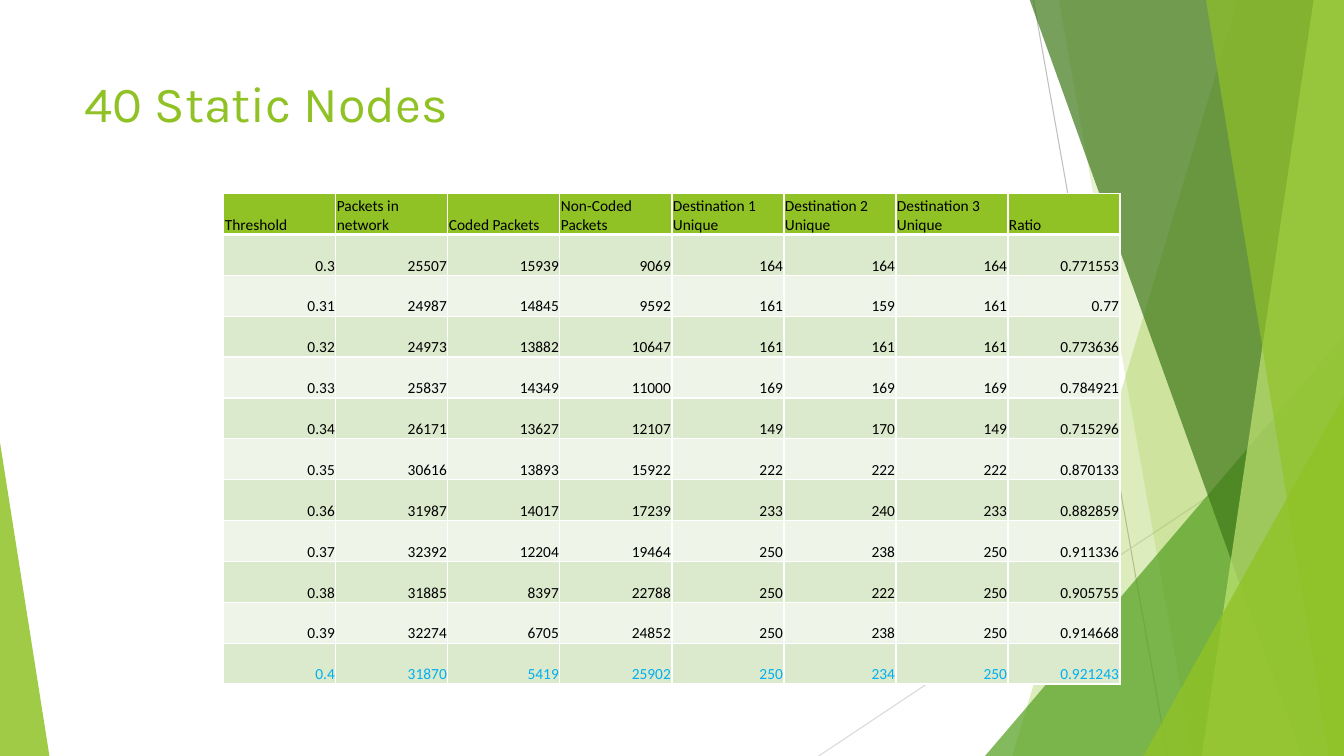
from typing import NamedTuple

from lxml.etree import SubElement
from pptx import Presentation
from pptx.dml.color import RGBColor
from pptx.enum.shapes import MSO_CONNECTOR, MSO_SHAPE
from pptx.enum.text import MSO_ANCHOR, PP_ALIGN
from pptx.oxml.ns import qn
from pptx.shapes.autoshape import Shape
from pptx.slide import Slide
from pptx.table import _Cell
from pptx.text.text import _Paragraph
from pptx.util import Inches, Pt

WIDTH, HEIGHT = 13.33, 7.5
BLEED_TOP = -0.01

COLORS = {
    "lime": "90C226",
    "pale_lime": "C0E474",
    "green": "54A021",
    "forest": "3F7819",
    "grey": "BFBFBF",
    "light_grey": "D9D9D9",
    "white": "FFFFFF",
    "black": "000000",
    "highlight": "00B0F0",
    "band_dark": "DBE9CD",
    "band_light": "EEF4E8",
}


class Ray(NamedTuple):
    start: tuple[float, float]
    end: tuple[float, float]
    color: str


class Panel(NamedTuple):
    top_x: float
    bottom_x: float
    color: str
    opacity: int


class Wedge(NamedTuple):
    left: float
    top: float
    width: float
    apex: float
    color: str
    opacity: int


RAYS = [
    Ray((10.25, 0), (11.58, HEIGHT), "grey"),
    Ray((WIDTH, 4.03), (8.12, HEIGHT), "light_grey"),
]
DECORATIONS = [
    Panel(12.28, 10.04, "lime", 30),
    Panel(10.5, 11.83, "lime", 20),
    Wedge(9.77, 3.33, 3.56, 1, "green", 72),
    Panel(10.21, 12.91, "forest", 70),
    Panel(13.03, 11.92, "pale_lime", 70),
    Panel(11.96, 13.18, "lime", 65),
    Wedge(11.34, 3.93, 1.99, 1, "lime", 80),
    Wedge(0, 4.39, 0.49, 0, "lime", 85),
]

HEADERS = [
    "Threshold", "Packets in network", "Coded Packets", "Non-Coded Packets",
    "Destination 1 Unique", "Destination 2 Unique", "Destination 3 Unique", "Ratio",
]
RESULTS = [
    ("0.3", "25507", "15939", "9069", "164", "164", "164", "0.771553"),
    ("0.31", "24987", "14845", "9592", "161", "159", "161", "0.77"),
    ("0.32", "24973", "13882", "10647", "161", "161", "161", "0.773636"),
    ("0.33", "25837", "14349", "11000", "169", "169", "169", "0.784921"),
    ("0.34", "26171", "13627", "12107", "149", "170", "149", "0.715296"),
    ("0.35", "30616", "13893", "15922", "222", "222", "222", "0.870133"),
    ("0.36", "31987", "14017", "17239", "233", "240", "233", "0.882859"),
    ("0.37", "32392", "12204", "19464", "250", "238", "250", "0.911336"),
    ("0.38", "31885", "8397", "22788", "250", "222", "250", "0.905755"),
    ("0.39", "32274", "6705", "24852", "250", "238", "250", "0.914668"),
    ("0.4", "31870", "5419", "25902", "250", "234", "250", "0.921243"),
]


def rgb(name: str) -> RGBColor:
    return RGBColor.from_string(COLORS[name])


def add_run(paragraph: _Paragraph, text: str, font: str, size: int, color: str) -> None:
    run = paragraph.add_run()
    run.text = text
    run.font.name = font
    run.font.size = Pt(size)
    run.font.bold = False
    run.font.color.rgb = rgb(color)


def add_ray(slide: Slide, ray: Ray) -> None:
    connector = slide.shapes.add_connector(
        MSO_CONNECTOR.STRAIGHT, *map(Inches, ray.start + ray.end))
    connector.line.color.rgb = rgb(ray.color)
    connector.line.width = Pt(0.75)
    SubElement(connector._element.spPr, qn("a:effectLst"))


def paint(shape: Shape, color: str, opacity: int) -> None:
    """Give the shape a translucent fill with no outline or shadow."""
    shape.shadow.inherit = False
    shape.line.fill.background()
    shape.fill.solid()
    shape.fill.fore_color.rgb = rgb(color)
    fill_color = shape._element.spPr.find(qn("a:solidFill")).find(qn("a:srgbClr"))
    SubElement(fill_color, qn("a:alpha"), val=str(opacity * 1000))


def add_panel(slide: Slide, panel: Panel) -> Shape:
    """Draw a four-sided panel that reaches the right edge of the slide."""
    builder = slide.shapes.build_freeform(Inches(panel.top_x), Inches(BLEED_TOP))
    corners = [(WIDTH, BLEED_TOP), (WIDTH, HEIGHT), (panel.bottom_x, HEIGHT)]
    builder.add_line_segments([(Inches(x), Inches(y)) for x, y in corners], close=True)
    return builder.convert_to_shape()


def add_wedge(slide: Slide, wedge: Wedge) -> Shape:
    """Draw a right triangle that stands on the bottom edge of the slide."""
    shape = slide.shapes.add_shape(
        MSO_SHAPE.ISOSCELES_TRIANGLE, Inches(wedge.left), Inches(wedge.top),
        Inches(wedge.width), Inches(HEIGHT - wedge.top))
    shape.adjustments[0] = wedge.apex
    return shape


def add_decorations(slide: Slide) -> None:
    for ray in RAYS:
        add_ray(slide, ray)
    for item in DECORATIONS:
        shape = add_panel(slide, item) if isinstance(item, Panel) else add_wedge(slide, item)
        paint(shape, item.color, item.opacity)


def format_title(slide: Slide, text: str) -> None:
    title = slide.shapes.title
    slide.shapes._spTree.append(title._element)  # in front of the decorations
    title.left, title.top = Inches(0.74), Inches(0.67)
    title.width, title.height = Inches(9.4), Inches(1.44)
    title.text_frame.word_wrap = True
    title.text_frame.vertical_anchor = MSO_ANCHOR.TOP
    paragraph = title.text_frame.paragraphs[0]
    paragraph.alignment = PP_ALIGN.LEFT
    add_run(paragraph, text, "Karla", 36, "lime")


def set_borders(cell: _Cell, widths: dict[str, int]) -> None:
    properties = cell._tc.get_or_add_tcPr()
    for side, width in widths.items():
        line = SubElement(properties, qn(f"a:ln{side}"), w=str(Pt(width)))
        fill = SubElement(line, qn("a:solidFill"))
        SubElement(fill, qn("a:srgbClr"), val=COLORS["white"])


def add_results_table(slide: Slide) -> None:
    rows = [HEADERS, *RESULTS]
    table = slide.shapes.add_table(
        len(rows), len(HEADERS), Inches(2.22), Inches(1.92), Inches(8.89), Inches(4.87)).table
    table.first_row = table.horz_banding = False
    for row_index, values in enumerate(rows):
        is_header = row_index == 0
        band = "lime" if is_header else ("band_light", "band_dark")[row_index % 2]
        color = "highlight" if values is RESULTS[-1] else "black"
        borders = {"L": 1, "R": 1, "T": 3 if row_index == 1 else 1, "B": 3 if is_header else 1}
        for column_index, value in enumerate(values):
            cell = table.cell(row_index, column_index)
            set_borders(cell, borders)
            cell.fill.solid()
            cell.fill.fore_color.rgb = rgb(band)
            cell.vertical_anchor = MSO_ANCHOR.BOTTOM
            cell.margin_left = cell.margin_right = cell.margin_top = Inches(0.01)
            cell.margin_bottom = 0
            paragraph = cell.text_frame.paragraphs[0]
            paragraph.alignment = PP_ALIGN.LEFT if is_header else PP_ALIGN.RIGHT
            add_run(paragraph, value, "Calibri", 11, color)


def main() -> None:
    presentation = Presentation()
    presentation.slide_width, presentation.slide_height = Inches(WIDTH), Inches(HEIGHT)
    slide = presentation.slides.add_slide(presentation.slide_layouts.get_by_name("Title Only"))
    add_decorations(slide)
    format_title(slide, "40 Static Nodes")
    add_results_table(slide)
    presentation.save("out.pptx")


if __name__ == "__main__":
    main()
